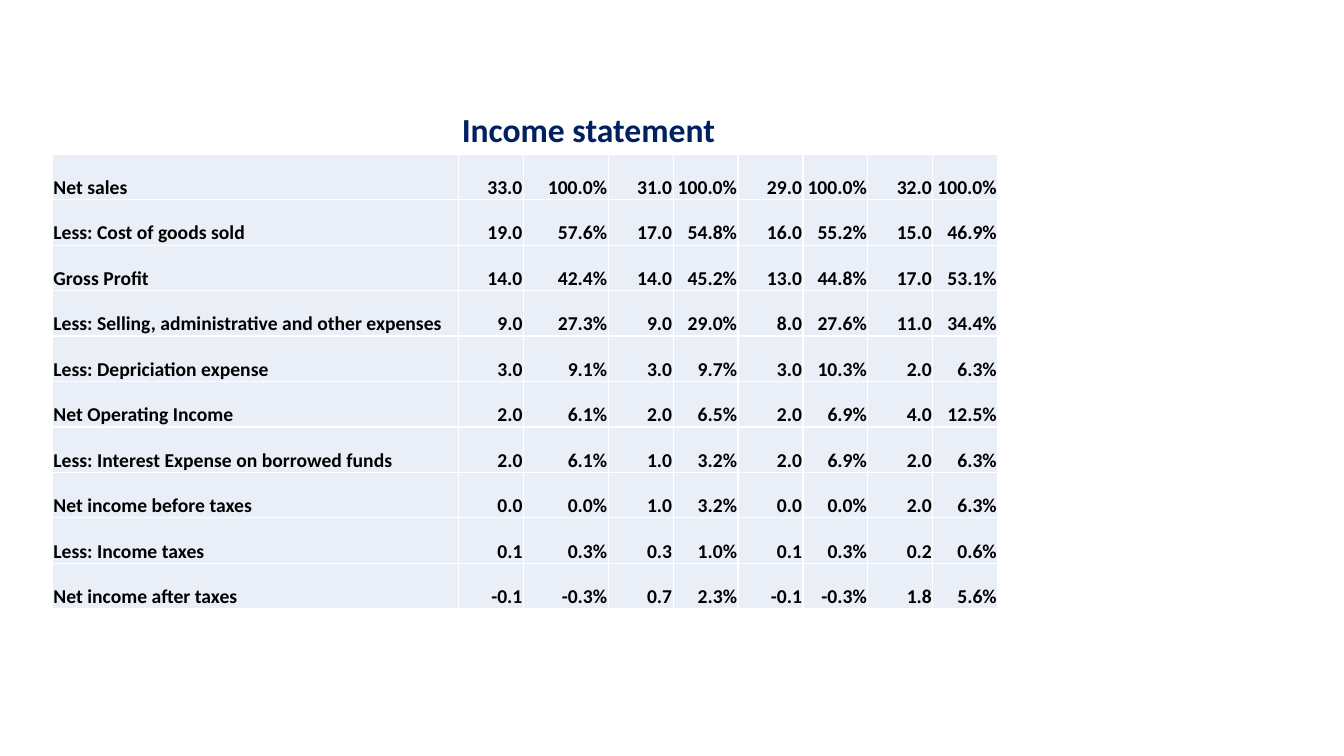
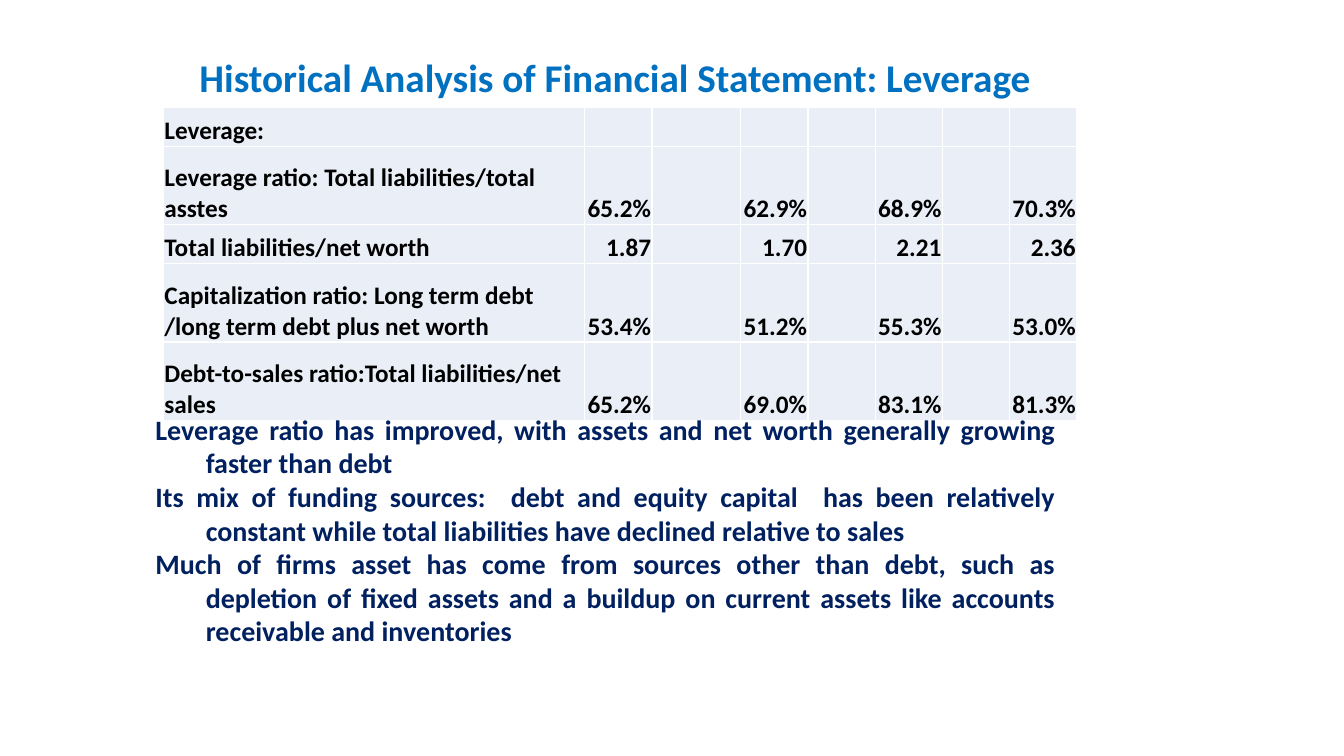
import dataclasses

import lxml.etree
import pptx
import pptx.dml.color
import pptx.enum.text
import pptx.oxml.ns
import pptx.util

Pt = pptx.util.Pt
ALIGN = pptx.enum.text.PP_ALIGN
ANCHOR = pptx.enum.text.MSO_ANCHOR


@dataclasses.dataclass(frozen=True)
class Theme:
    font: str = "Calibri"
    navy: str = "002060"
    blue: str = "0070C0"
    black: str = "000000"
    cell: str = "EAEFF7"
    border: str = "FFFFFF"
    heading: int = 28
    subheading: int = 24
    body: int = 20
    table_large: int = 18
    table_small: int = 14


T = Theme()

INCOME = [
    ("Net sales", "33.0 100.0% 31.0 100.0% 29.0 100.0% 32.0 100.0%"),
    ("Less: Cost of goods sold", "19.0 57.6% 17.0 54.8% 16.0 55.2% 15.0 46.9%"),
    ("Gross Profit", "14.0 42.4% 14.0 45.2% 13.0 44.8% 17.0 53.1%"),
    ("Less: Selling, administrative and other expenses",
     "9.0 27.3% 9.0 29.0% 8.0 27.6% 11.0 34.4%"),
    ("Less: Depriciation expense", "3.0 9.1% 3.0 9.7% 3.0 10.3% 2.0 6.3%"),
    ("Net Operating Income", "2.0 6.1% 2.0 6.5% 2.0 6.9% 4.0 12.5%"),
    ("Less: Interest Expense on borrowed funds",
     "2.0 6.1% 1.0 3.2% 2.0 6.9% 2.0 6.3%"),
    ("Net income before taxes", "0.0 0.0% 1.0 3.2% 0.0 0.0% 2.0 6.3%"),
    ("Less: Income taxes", "0.1 0.3% 0.3 1.0% 0.1 0.3% 0.2 0.6%"),
    ("Net income after taxes", "-0.1 -0.3% 0.7 2.3% -0.1 -0.3% 1.8 5.6%"),
]

LEVERAGE = [
    ("Leverage:", ""),
    ("Leverage ratio: Total liabilities/total asstes", "65.2% 62.9% 68.9% 70.3%"),
    ("Total liabilities/net worth", "1.87 1.70 2.21 2.36"),
    ("Capitalization ratio: Long term debt /long term debt plus net worth",
     "53.4% 51.2% 55.3% 53.0%"),
    ("Debt-to-sales ratio:Total liabilities/net sales", "65.2% 69.0% 83.1% 81.3%"),
]

FINDINGS = [
    "Leverage ratio has improved, with assets and net worth generally growing "
    "faster than debt",
    "Its mix of funding sources:  debt and equity capital  has been relatively "
    "constant while total liabilities have declined relative to sales",
    "Much of firms asset has come from sources other than debt, such as depletion "
    "of fixed assets and a buildup on current assets like accounts receivable "
    "and inventories",
]


def set_all(obj, values):
    for name, value in values.items():
        setattr(obj, name, value)


def rgb(color):
    return pptx.dml.color.RGBColor.from_string(color)


def add_run(p, text, size, color):
    r = p.add_run()
    r.text = text
    set_all(r.font, {"name": T.font, "size": Pt(size), "bold": True})
    r.font.color.rgb = rgb(color)


def add_text(s, box, lines, size, color, wrap=False, hanging=False):
    """Text box; hanging paragraphs are justified, second level."""
    tf = s.shapes.add_textbox(*map(Pt, box)).text_frame
    set_all(tf, {"word_wrap": wrap,
                 "auto_size": pptx.enum.text.MSO_AUTO_SIZE.SHAPE_TO_FIT_TEXT})
    for i, line in enumerate(lines):
        p = tf.add_paragraph() if i else tf.paragraphs[0]
        if hanging:
            set_all(p, {"level": 1, "alignment": ALIGN.JUSTIFY})
            pPr = p._p.get_or_add_pPr()
            for name, value in {"marL": 71.5, "indent": -36}.items():
                pPr.set(name, str(int(Pt(value))))
        add_run(p, line, size, color)


def add_borders(cell):
    tcPr = cell._tc.get_or_add_tcPr()
    qn = pptx.oxml.ns.qn
    for side in ("lnL", "lnR", "lnT", "lnB"):
        ln = lxml.etree.SubElement(tcPr, qn(f"a:{side}"), w=str(int(Pt(1))))
        fill = lxml.etree.SubElement(ln, qn("a:solidFill"))
        lxml.etree.SubElement(fill, qn("a:srgbClr"), val=T.border)


def format_cell(cell, text, size, align):
    set_all(cell, {"vertical_anchor": ANCHOR.BOTTOM, "margin_left": Pt(0.7),
                   "margin_right": Pt(0.7), "margin_top": Pt(0.7),
                   "margin_bottom": 0})
    add_borders(cell)
    cell.fill.solid()
    cell.fill.fore_color.rgb = rgb(T.cell)
    p = cell.text_frame.paragraphs[0]
    p.alignment = align
    if text:
        add_run(p, text, size, T.black)


def add_grid(s, left, top, widths, heights, rows, size):
    """Table of labels in the first column and figures in the others."""
    tbl = s.shapes.add_table(len(heights), len(widths), Pt(left), Pt(top),
                             Pt(sum(widths)), Pt(sum(heights))).table
    set_all(tbl, {"first_row": False, "horz_banding": False})
    for col, width in zip(tbl.columns, widths):
        col.width = Pt(width)
    for row, height, texts in zip(tbl.rows, heights, rows):
        row.height = Pt(height)
        for i, (cell, text) in enumerate(zip(row.cells, texts)):
            format_cell(cell, text, size, ALIGN.RIGHT if i else ALIGN.LEFT)


def income_slide(s):
    rows = [[label, *figures.split()] for label, figures in INCOME]
    widths = [290, 46.4, 60.6] + [46.4] * 6
    add_grid(s, 37.5, 110.2, widths, [32.47] * len(rows), rows, T.table_small)
    add_text(s, (287.3, 74.2, 233.3, 36), ["Income statement"],
             T.subheading, T.navy, hanging=True)


def leverage_slide(s):
    # Figures fill every second column; the columns between stay empty
    rows = []
    for label, figures in LEVERAGE:
        row = [label] + [""] * 7
        for i, figure in enumerate(figures.split()):
            row[1 + 2 * i] = figure
        rows.append(row)
    widths = [301, 48, 63.4] + [48] * 5
    add_grid(s, 116.8, 76.4, widths, [28, 56, 28, 56, 56], rows, T.table_large)
    add_text(s, (135.4, 34.6, 615.6, 41),
             ["Historical Analysis of Financial Statement: Leverage"],
             T.heading, T.blue)
    add_text(s, (68.4, 290.9, 692.6, 177.1), FINDINGS, T.body, T.navy,
             wrap=True, hanging=True)


def main():
    prs = pptx.Presentation()
    set_all(prs, {"slide_width": Pt(960), "slide_height": Pt(540)})
    for build in (income_slide, leverage_slide):
        build(prs.slides.add_slide(prs.slide_layouts[6]))
    prs.save("out.pptx")


if __name__ == "__main__":
    main()
